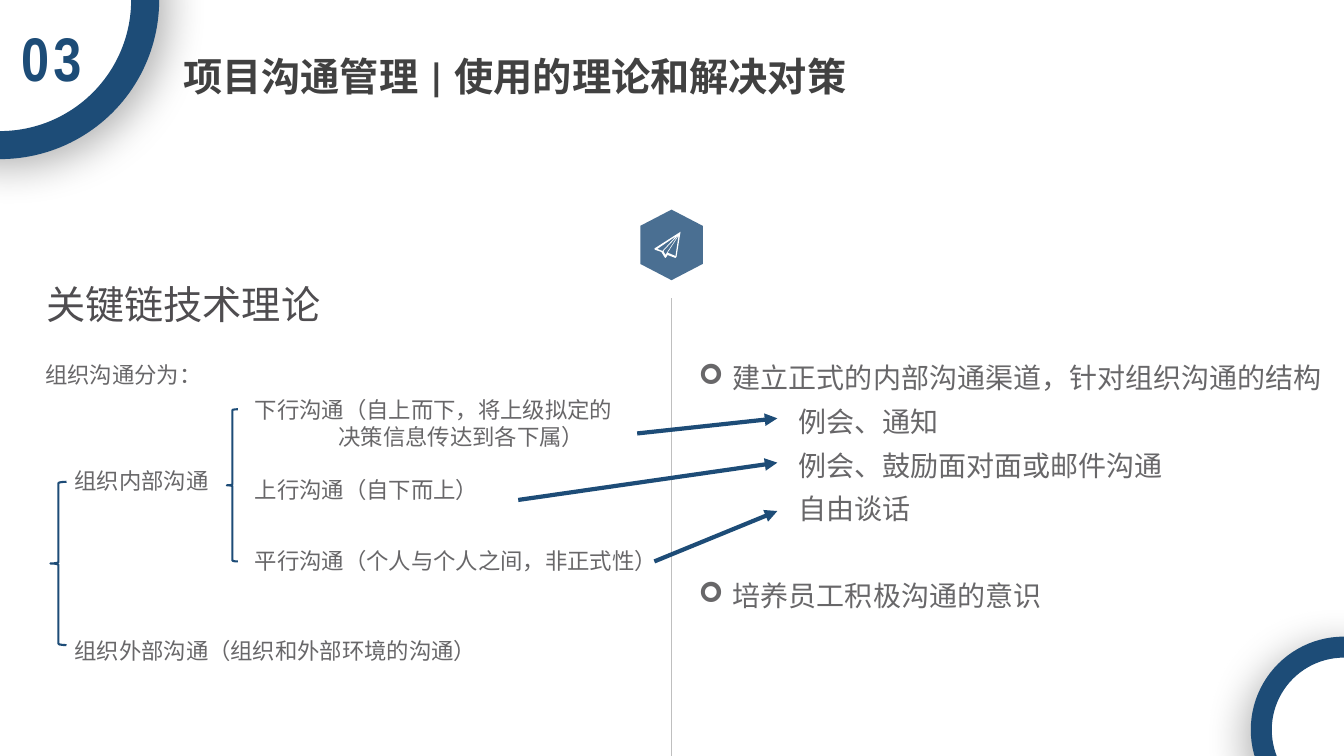
from dataclasses import dataclass

from lxml import etree
from pptx import Presentation
from pptx.dml.color import RGBColor
from pptx.enum.shapes import MSO_CONNECTOR, MSO_SHAPE
from pptx.enum.text import PP_ALIGN
from pptx.oxml.ns import qn
from pptx.util import Inches, Pt

STRAIGHT = MSO_CONNECTOR.STRAIGHT
HEXAGON = MSO_SHAPE.HEXAGON
OVAL = MSO_SHAPE.OVAL
BRACE = MSO_SHAPE.LEFT_BRACE
CENTER = PP_ALIGN.CENTER
JUSTIFY = PP_ALIGN.JUSTIFY


@dataclass(frozen=True)
class Theme:
    navy: str = "1D4C77"
    white: str = "FFFFFF"
    rule: str = "BFBFBF"
    title: str = "414141"
    heading: str = "4F4D50"
    body: str = "686769"
    shadow: str = "000000"
    number_font: str = "Arial Narrow"
    title_font: str = "Calibri"
    body_font: str = "Noto Sans CJK SC"
    number_size: int = 44
    title_size: int = 28
    list_size: int = 20
    label_size: int = 16


THEME = Theme()

PLANE_OUTLINE = [(675, 230), (650, 246), (649, 247), (650, 248), (656, 250), (659, 255),
                 (660, 256), (661, 255), (662, 253), (670, 256), (671, 255)]
PLANE_PANES = [
    [(670, 254), (663, 251), (662, 251), (673, 234)],
    [(658, 249), (673, 233), (660, 253)],
    [(652, 247), (671, 234), (657, 249)],
]


def add_element(parent, tag, **values):
    return etree.SubElement(parent, qn(tag), {key: str(value) for key, value in values.items()})


def set_values(target, values):
    for key, value in values.items():
        setattr(target, key, value)


class SlideBuilder:
    def __init__(self, slide, theme):
        self.shapes = slide.shapes
        self.theme = theme

    def paint(self, shape, fill=None, line=None, weight=1.0):
        shape.shadow.inherit = False
        if fill:
            shape.fill.solid()
            shape.fill.fore_color.rgb = RGBColor.from_string(fill)
        else:
            shape.fill.background()
        if line:
            shape.line.color.rgb = RGBColor.from_string(line)
            shape.line.width = Pt(weight)
        else:
            shape.line.fill.background()

    def shape(self, kind, left, top, width, height, **look):
        shape = self.shapes.add_shape(kind, *map(Inches, (left, top, width, height)))
        self.paint(shape, **look)
        return shape

    def ring(self, left, top, size, weight, direction):
        ring = self.shape(OVAL, left, top, size, size, fill=self.theme.white,
                          line=self.theme.navy, weight=weight)
        effects = ring._element.spPr.find(qn("a:effectLst"))
        shadow = add_element(effects, "a:outerShdw", blurRad=Pt(30), dist=Pt(8),
                             dir=direction * 60000, algn="ctr", rotWithShape=0)
        color = add_element(shadow, "a:srgbClr", val=self.theme.shadow)
        add_element(color, "a:alpha", val=30000)

    def hexagon(self, left, top, width, height):
        hexagon = self.shape(HEXAGON, left, top, width, height, fill=self.theme.navy)
        hexagon.rotation = 90
        hexagon.adjustments[0] = 0.26
        color = hexagon._element.spPr.find(qn("a:solidFill"))[0]
        add_element(color, "a:alpha", val=80000)

    def plane(self, outline, panes):
        builder = self.shapes.build_freeform(*outline[0], scale=Inches(0.01))
        builder.add_line_segments(outline[1:], close=True)
        for pane in panes:
            builder.move_to(*pane[0])
            builder.add_line_segments(pane[1:], close=True)
        self.paint(builder.convert_to_shape(), fill=self.theme.white)

    def line(self, start, end, color, weight, arrow=False):
        line = self.shapes.add_connector(STRAIGHT, *map(Inches, (*start, *end)))
        line.line.color.rgb = RGBColor.from_string(color)
        line.line.width = Pt(weight)
        if arrow:
            add_element(line.line._get_or_add_ln(), "a:tailEnd", type="triangle")
        add_element(line._element.spPr, "a:effectLst")

    def text(self, left, top, width, height, paragraphs, color=None, tracking=None,
             layout=None, **font):
        box = self.shapes.add_textbox(*map(Inches, (left, top, width, height)))
        frame = box.text_frame
        frame.word_wrap = True
        style = {"name": self.theme.body_font, "size": self.theme.label_size, **font}
        style["size"] = Pt(style["size"])
        for index, (words, margin, bullet, gap) in enumerate(paragraphs):
            para = frame.paragraphs[0] if index == 0 else frame.add_paragraph()
            set_values(para, layout or {})
            if gap:
                para.space_before = Pt(gap)
            properties = para._p.get_or_add_pPr()
            if margin:
                properties.set("marL", str(Inches(margin)))
            if bullet:
                properties.set("indent", str(-Inches(margin)))
                add_element(properties, "a:buFont", typeface="Wingdings")
                add_element(properties, "a:buChar", char=bullet)
            span = para.add_run()
            span.text = words
            set_values(span.font, style)
            span.font.color.rgb = RGBColor.from_string(color or self.theme.body)
            if tracking:
                span._r.get_or_add_rPr().set("spc", str(tracking * 100))

    def label(self, left, top, width, height, words, **look):
        self.text(left, top, width, height, [(words, 0, None, 0)], **look)


def main():
    deck = Presentation()
    deck.slide_width, deck.slide_height = Inches(13.33), Inches(7.5)
    page = SlideBuilder(deck.slides.add_slide(deck.slide_layouts[6]), THEME)
    spaced = {"line_spacing": 1.3}
    justified = {"alignment": JUSTIFY, **spaced}

    page.line((6.66, 2.96), (6.66, 7.5), THEME.rule, 0.5)
    page.hexagon(6.31, 2.12, 0.7, 0.62)
    page.plane(PLANE_OUTLINE, PLANE_PANES)
    page.ring(-1.44, -1.44, 2.88, 20, 45)
    page.ring(12.51, 6.42, 1.64, 15, 125)

    page.label(0, 0.15, 1.02, 0.84, "03", color=THEME.navy, tracking=3, bold=True,
               name=THEME.number_font, size=THEME.number_size, layout={"alignment": CENTER})
    page.label(1.72, 0.47, 6.85, 0.57, "项目沟通管理 | 使用的理论和解决对策",
               color=THEME.title, bold=True, name=THEME.title_font, size=THEME.title_size)
    page.label(0.36, 2.59, 3.42, 0.65, "关键链技术理论", color=THEME.heading,
               size=THEME.title_size, layout=spaced)

    page.label(0.35, 3.45, 1.77, 0.42, "组织沟通分为：", layout=justified)
    page.label(0.64, 4.59, 1.61, 0.37, "组织内部沟通")
    page.label(0.64, 6.19, 4.24, 0.42, "组织外部沟通（组织和外部环境的沟通）", layout=justified)
    page.text(2.43, 3.88, 3.9, 0.84, [
        ("下行沟通（自上而下，将上级拟定的", 0, None, 0),
        ("决策信息传达到各下属）", 0.83, None, 0),
    ])
    page.label(2.43, 4.67, 2.45, 0.57, "上行沟通（自下而上）")
    page.label(2.43, 5.38, 4.24, 0.57, "平行沟通（个人与个人之间，非正式性）")

    for brace in ((2.25, 4.06, 0.11, 1.51), (0.5, 4.78, 0.16, 1.62)):
        page.shape(BRACE, *brace, line=THEME.navy, weight=1.5)

    page.text(6.83, 3.43, 6.5, 2.68, [
        ("建立正式的内部沟通渠道，针对组织沟通的结构", 0.34, "➢", 0),
        ("例会、通知", 0.99, None, 0),
        ("例会、鼓励面对面或邮件沟通", 0.99, None, 0),
        ("自由谈话", 0.99, None, 0),
        ("培养员工积极沟通的意识", 0.34, "➢", 31),
    ], size=THEME.list_size, layout=justified)

    for start, end_top in (((6.32, 4.3), 4.15), ((5.14, 4.96), 4.59), ((6.49, 5.57), 5.07)):
        page.line(start, (7.71, end_top), THEME.navy, 3, arrow=True)

    deck.save("out.pptx")


if __name__ == "__main__":
    main()
